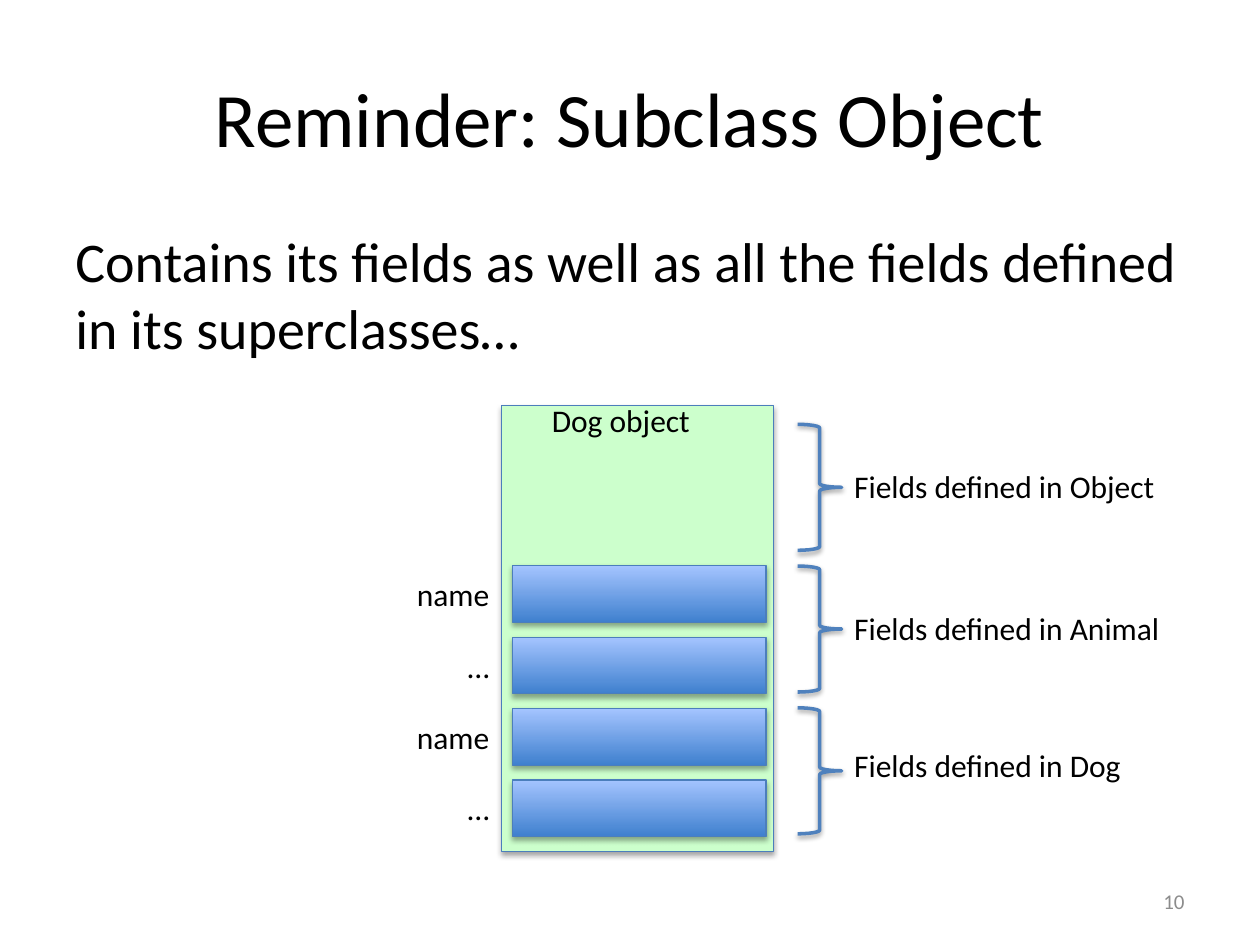
import pptx
import pptx.dml.color
import pptx.enum.shapes
import pptx.enum.text
import pptx.oxml
import pptx.oxml.ns
import pptx.util

Pt = pptx.util.Pt
SHAPE = pptx.enum.shapes.MSO_SHAPE
ALIGN = pptx.enum.text.PP_ALIGN
ANCHOR = pptx.enum.text.MSO_ANCHOR

TITLE = "Reminder: Subclass Object"
BODY = "Contains its fields as well as all the fields defined in its superclasses…"
OBJECT_NAME = "Dog object"
PAGE_NUMBER = "10"
FIELDS = ["name", "…", "name", "…"]
# Class label, its width, its distance below the top of the brace
GROUPS = [
    ("Fields defined in Object", 188, 21),
    ("Fields defined in Animal", 191, 21),
    ("Fields defined in Dog", 168.5, 18),
]

THEME = {
    "font": "Calibri",
    "text": "000000", "muted": "8C8C8C",
    "object": "CCFFCC", "edge": "4B7EBC", "brace": "4F81BD",
    "slot_dark": "3F80CE", "slot_light": "A4C4FF",
    "title_size": 44, "body_size": 32, "label_size": 18, "number_size": 12,
}

FIELD_TOP, FIELD_STEP, FIELD_HEIGHT = 323.3, 40.8, 32.4
BRACE_TOP, BRACE_STEP, BRACE_HEIGHT = 242.5, 81, 72
LABEL_HEIGHT = 29


def colour(name):
    """Return a theme colour as an RGB value."""
    return pptx.dml.color.RGBColor.from_string(THEME[name])


def add_text(page, text, area, size, align=ALIGN.LEFT, anchor=ANCHOR.TOP,
             ink="text", wrap=True):
    """Add a text box with one paragraph of one run."""
    box = page.shapes.add_textbox(*map(Pt, area))
    frame = box.text_frame
    frame.word_wrap = wrap
    frame.vertical_anchor = anchor
    para = frame.paragraphs[0]
    para.alignment = align
    span = para.add_run()
    span.text = text
    span.font.name = THEME["font"]
    span.font.size = Pt(THEME[size])
    span.font.color.rgb = colour(ink)


def add_shadow(shape, opacity, distance):
    """Give a shape a soft shadow that falls straight down."""
    shape.shadow.inherit = False
    effects = shape._element.spPr.find(pptx.oxml.ns.qn("a:effectLst"))
    effects.append(pptx.oxml.parse_xml(
        f'<a:outerShdw {pptx.oxml.ns.nsdecls("a")} blurRad="{Pt(3.1)}" '
        f'dist="{Pt(distance)}" dir="5400000" rotWithShape="0">'
        f'<a:srgbClr val="000000"><a:alpha val="{opacity * 1000}"/></a:srgbClr>'
        '</a:outerShdw>'))


def add_block(page, area):
    """Add an outlined rectangle with a shadow and return it for filling."""
    block = page.shapes.add_shape(SHAPE.RECTANGLE, *map(Pt, area))
    block.line.color.rgb = colour("edge")
    block.line.width = Pt(0.75)
    add_shadow(block, 35, 1.8)
    return block


def add_field(page, name, top):
    """Add one field slot and the name to its left."""
    fill = add_block(page, (293, top, 144.8, FIELD_HEIGHT)).fill
    fill.gradient()
    fill.gradient_angle = 90
    for stop, shade in zip(fill.gradient_stops, ("slot_dark", "slot_light")):
        stop.color.rgb = colour(shade)
    add_text(page, name, (193.7, top + 1.8, 93, LABEL_HEIGHT), "label_size",
             ALIGN.RIGHT)


def add_group(page, label, width, offset, top):
    """Add a brace around a group of fields and its label."""
    brace = page.shapes.add_shape(
        SHAPE.RIGHT_BRACE, *map(Pt, (455.8, top, 25.2, BRACE_HEIGHT)))
    brace.fill.background()
    brace.line.color.rgb = colour("brace")
    brace.line.width = Pt(2)
    add_shadow(brace, 38, 1.6)
    add_text(page, label, (481, top + offset, width, LABEL_HEIGHT),
             "label_size", wrap=False)


def build():
    """Build and save the slide."""
    deck = pptx.Presentation()
    deck.slide_width, deck.slide_height = Pt(720), Pt(540)
    page = deck.slides.add_slide(deck.slide_layouts[6])

    object_block = add_block(page, (286.5, 231.8, 155.5, 255))
    object_block.fill.solid()
    object_block.fill.fore_color.rgb = colour("object")

    add_text(page, TITLE, (36, 21.6, 648, 90), "title_size", ALIGN.CENTER,
             ANCHOR.MIDDLE)
    add_text(page, BODY, (36, 126, 648, 356.4), "body_size")
    add_text(page, PAGE_NUMBER, (516, 500.5, 168, 28.8), "number_size",
             ALIGN.RIGHT, ANCHOR.MIDDLE, "muted")
    add_text(page, OBJECT_NAME, (308.2, 225.4, 94.3, LABEL_HEIGHT),
             "label_size", wrap=False)

    for row, name in enumerate(FIELDS):
        add_field(page, name, FIELD_TOP + row * FIELD_STEP)
    for row, (label, width, offset) in enumerate(GROUPS):
        add_group(page, label, width, offset, BRACE_TOP + row * BRACE_STEP)

    deck.save("out.pptx")


build()
